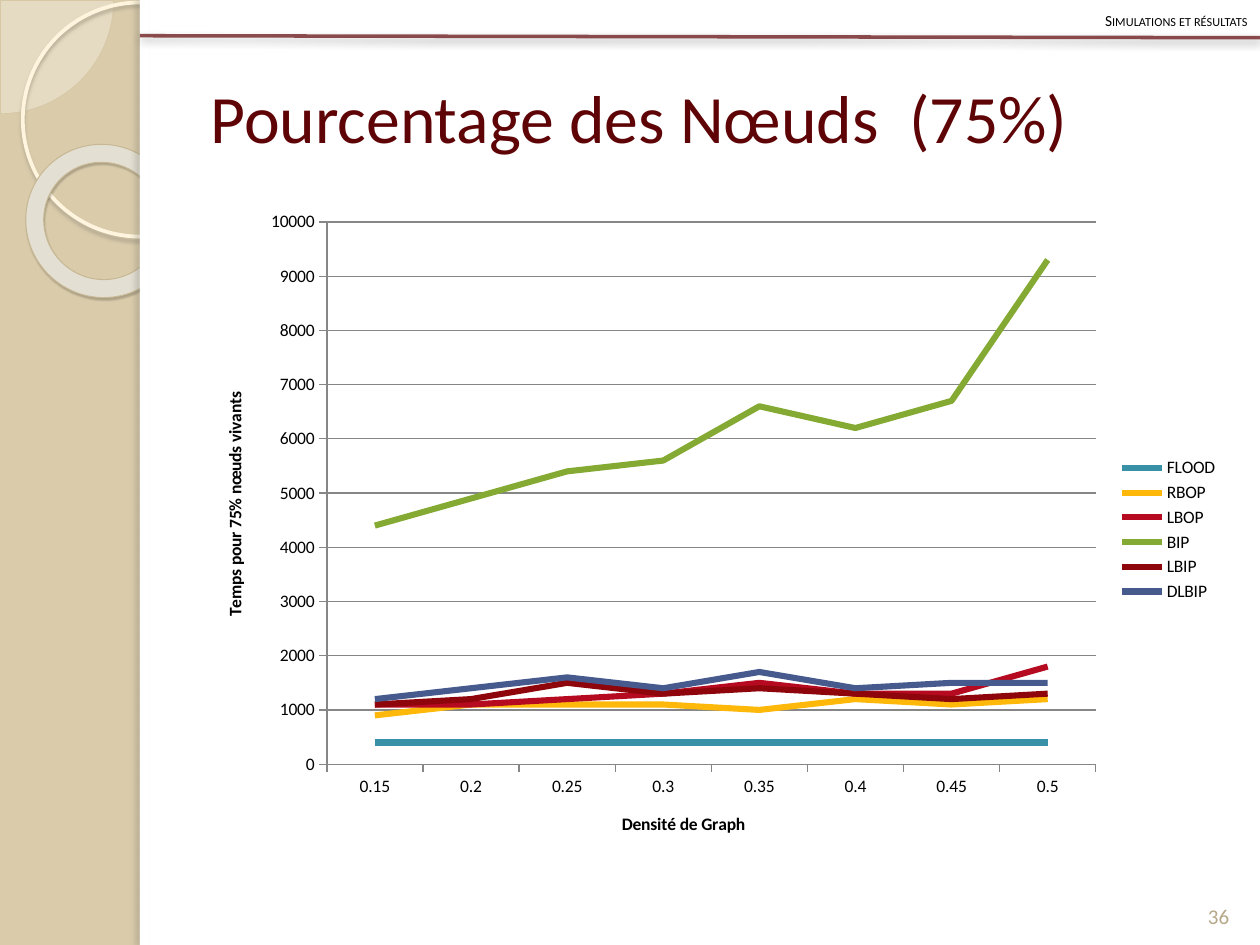
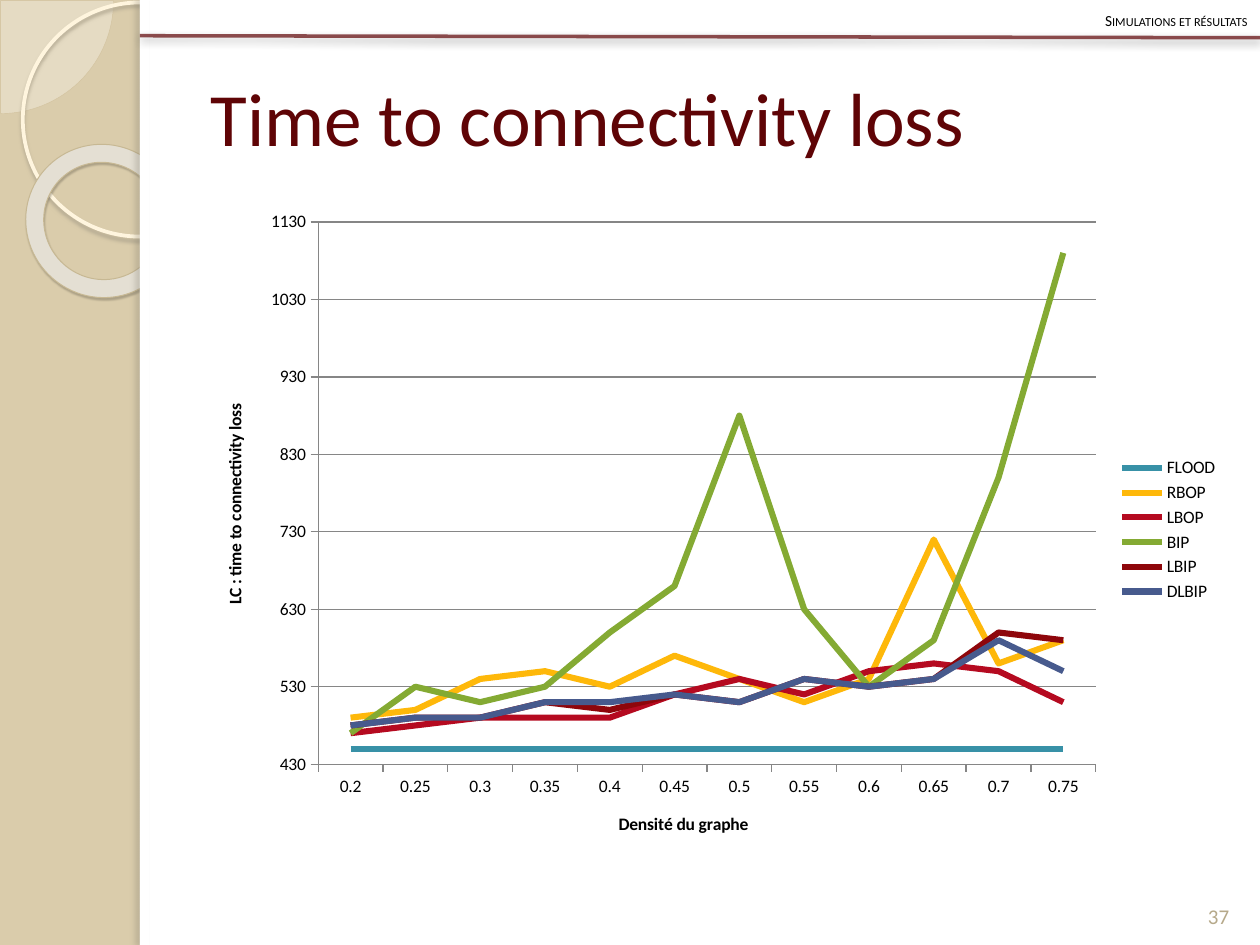
from dataclasses import dataclass

from lxml import etree
from pptx import Presentation
from pptx import util as u
from pptx.chart import data as chart_data
from pptx.dml.color import RGBColor
from pptx.enum import chart as charts, shapes, text
from pptx.oxml import ns


@dataclass(frozen=True)
class Theme:
    font: str = "Calibri"
    sand: str = "DACCAB"
    white: str = "FFFFFF"
    black: str = "000000"
    maroon: str = "5F0406"
    number: str = "B6A98A"
    grid: str = "868686"
    header_size: float = 8.8
    number_size: float = 12
    chart_size: float = 10
    series_width: float = 3.5
    series: tuple = (
        ("FLOOD", "3891A7"), ("RBOP", "FEB80A"), ("LBOP", "B50A20"),
        ("BIP", "84AA33"), ("LBIP", "8E060B"), ("DLBIP", "475A8D"),
    )


theme = Theme()
rgb = RGBColor.from_string


def finish(shape, shadow=None, fill_alpha=None, line_alpha=None):
    properties = shape.element.spPr
    for route, alpha in (("a:solidFill", fill_alpha), ("a:ln/a:solidFill", line_alpha)):
        if alpha:
            colour = properties.find(route + "/a:srgbClr", ns._nsmap)
            etree.SubElement(colour, ns.qn("a:alpha"), val=str(alpha * 1000))
    effects = etree.SubElement(properties, ns.qn("a:effectLst"))
    if shadow:
        colour, alpha, blur, distance, angle = shadow
        outer = etree.SubElement(
            effects, ns.qn("a:outerShdw"), blurRad=str(u.Pt(blur)),
            dist=str(u.Pt(distance)), dir=str(angle * 60000), algn="tl", rotWithShape="0")
        colour = etree.SubElement(outer, ns.qn("a:srgbClr"), val=colour)
        etree.SubElement(colour, ns.qn("a:alpha"), val=str(alpha * 1000))


def write(shape, wording, size, colour, anchor, alignment):
    frame = shape.text_frame
    frame.text = wording
    frame.word_wrap = True
    frame.auto_size = text.MSO_AUTO_SIZE.NONE
    frame.vertical_anchor = anchor
    paragraph = frame.paragraphs[0]
    paragraph.alignment = alignment
    font = paragraph.runs[0].font
    font.name, font.size, font.color.rgb = theme.font, u.Pt(size), rgb(colour)
    return paragraph


presentation = Presentation()
presentation.slide_width, presentation.slide_height = u.Cm(25.4), u.Cm(19.05)
layout = presentation.slide_layouts[5]
layout.background.fill.solid()
layout.background.fill.fore_color.rgb = rgb(theme.sand)
for placeholder in list(layout.placeholders):
    if placeholder.placeholder_format.idx:
        layout.shapes.element.remove(placeholder.element)

pages = [
    {
        "title": "Pourcentage des Nœuds  (75%)", "title_size": 38.7, "number": "36",
        "category_title": "Densité de Graph",
        "value_title": "Temps pour 75% nœuds vivants",
        "scale": (0, 10000, 1000),
        "categories": ["0.15", "0.2", "0.25", "0.3", "0.35", "0.4", "0.45", "0.5"],
        "values": [
            [400] * 8,
            [900, 1100, 1100, 1100, 1000, 1200, 1100, 1200],
            [1100, 1100, 1200, 1300, 1500, 1300, 1300, 1800],
            [4400, 4900, 5400, 5600, 6600, 6200, 6700, 9300],
            [1100, 1200, 1500, 1300, 1400, 1300, 1200, 1300],
            [1200, 1400, 1600, 1400, 1700, 1400, 1500, 1500],
        ],
    },
    {
        "title": "Time to connectivity loss", "title_size": 43, "number": "37",
        "category_title": "Densité du graphe",
        "value_title": "LC : time to connectivity loss",
        "scale": (430, 1130, 100),
        "categories": ["0.2", "0.25", "0.3", "0.35", "0.4", "0.45",
                       "0.5", "0.55", "0.6", "0.65", "0.7", "0.75"],
        "values": [
            [450] * 12,
            [490, 500, 540, 550, 530, 570, 540, 510, 540, 720, 560, 590],
            [470, 480, 490, 490, 490, 520, 540, 520, 550, 560, 550, 510],
            [470, 530, 510, 530, 600, 660, 880, 630, 530, 590, 800, 1090],
            [480, 490, 490, 510, 500, 520, 510, 540, 530, 540, 600, 590],
            [480, 490, 490, 510, 510, 520, 510, 540, 530, 540, 590, 550],
        ],
    },
]
slides = [presentation.slides.add_slide(layout) for page in pages]

preset = shapes.MSO_SHAPE
decorations = [
    (preset.PIE, (-2.26, -2.26, 4.55, 4.55), [0, 54.02], 0,
     "FEFAF4", 33, ("D3C39F", 0.25), None),
    (preset.OVAL, (0.46, 0.05, 4.72, 4.72), [], 0,
     None, None, ("FFF5DE", 2.15), ("B0A68F", 85, 2, 2, 90)),
    (preset.DONUT, (0.51, 2.92, 3.12, 3.07), [0.118], 38.6,
     "E4DFD3", None, ("C7B893", 0.58), ("5A5444", 35, 1, 1.2, 75)),
    (preset.RECTANGLE, (2.82, 0, 22.58, 19.05), [], 0,
     theme.white, None, None, None),
    (preset.RECTANGLE, (2.82, 0, 0.2, 19.05), [], 0,
     theme.white, None, None, ("736F63", 25, 3, 3, 180)),
]
drawn = []
for kind, box, adjustments, rotation, fill, alpha, outline, shadow in decorations:
    shape = slides[0].shapes.add_shape(kind, *map(u.Cm, box))
    shape.rotation = rotation
    for index, adjustment in enumerate(adjustments):
        shape.adjustments[index] = adjustment
    if fill:
        shape.fill.solid()
        shape.fill.fore_color.rgb = rgb(fill)
    else:
        shape.fill.background()
    if outline:
        shape.line.color.rgb, shape.line.width = rgb(outline[0]), u.Pt(outline[1])
    else:
        shape.line.fill.background()
    finish(shape, shadow, fill_alpha=alpha)
    drawn.append(shape)

rule = slides[0].shapes.add_connector(
    shapes.MSO_CONNECTOR.STRAIGHT, u.Cm(2.82), u.Cm(0.72), u.Cm(25.4), u.Cm(0.76))
rule.line.color.rgb, rule.line.width = rgb(theme.maroon), u.Pt(2)
finish(rule, (theme.black, 43, 5, 2, 90), line_alpha=70)
drawn.append(rule)
for shape in drawn:
    layout.shapes.element.append(shape.element)

for slide, page in zip(slides, pages):
    title = slide.shapes.title
    title.left, title.top, title.width, title.height = map(u.Cm, (3.99, 0.76, 20.83, 3.18))
    write(title, page["title"], page["title_size"], theme.maroon,
          text.MSO_ANCHOR.MIDDLE, text.PP_ALIGN.LEFT)

    data = chart_data.CategoryChartData()
    data.categories = page["categories"]
    for (name, colour), values in zip(theme.series, page["values"]):
        data.add_series(name, values)
    chart = slide.shapes.add_chart(
        charts.XL_CHART_TYPE.LINE, *map(u.Cm, (3.99, 4.01, 20.83, 13.34)), data).chart
    chart.has_title = False
    chart.font.name, chart.font.size = theme.font, u.Pt(theme.chart_size)
    chart.font.color.rgb = rgb(theme.black)
    chart.has_legend = True
    chart.legend.position = charts.XL_LEGEND_POSITION.RIGHT
    chart.legend.include_in_layout = False
    chart.plots[0].vary_by_categories = False
    for series, (name, colour) in zip(chart.plots[0].series, theme.series):
        series.smooth = False
        series.format.line.color.rgb = rgb(colour)
        series.format.line.width = u.Pt(theme.series_width)

    value_axis = chart.value_axis
    value_axis.minimum_scale, value_axis.maximum_scale, value_axis.major_unit = page["scale"]
    value_axis.has_major_gridlines = True
    for axis, wording in ((chart.category_axis, page["category_title"]),
                          (value_axis, page["value_title"])):
        axis.major_tick_mark = charts.XL_TICK_MARK.OUTSIDE
        axis.minor_tick_mark = charts.XL_TICK_MARK.NONE
        frame = axis.axis_title.text_frame
        frame.text = wording
        font = frame.paragraphs[0].runs[0].font
        font.name, font.size, font.bold = theme.font, u.Pt(theme.chart_size), True
        font.color.rgb = rgb(theme.black)
    for line in (chart.category_axis.format.line, value_axis.format.line,
                 value_axis.major_gridlines.format.line):
        line.color.rgb, line.width = rgb(theme.grid), u.Pt(0.75)

    header = slide.shapes.add_textbox(0, 0, u.Cm(25.4), u.Cm(0.74))
    paragraph = write(header, "Simulations et résultats", theme.header_size, theme.black,
                      text.MSO_ANCHOR.MIDDLE, text.PP_ALIGN.RIGHT)
    paragraph.line_spacing, paragraph.space_before = 1.2, u.Pt(6)
    paragraph.runs[0].font._element.set("cap", "small")

    number = slide.shapes.add_textbox(*map(u.Cm, (23.93, 17.53, 1.27, 1.32)))
    write(number, page["number"], theme.number_size, theme.number,
          text.MSO_ANCHOR.BOTTOM, text.PP_ALIGN.CENTER)

presentation.save("out.pptx")
